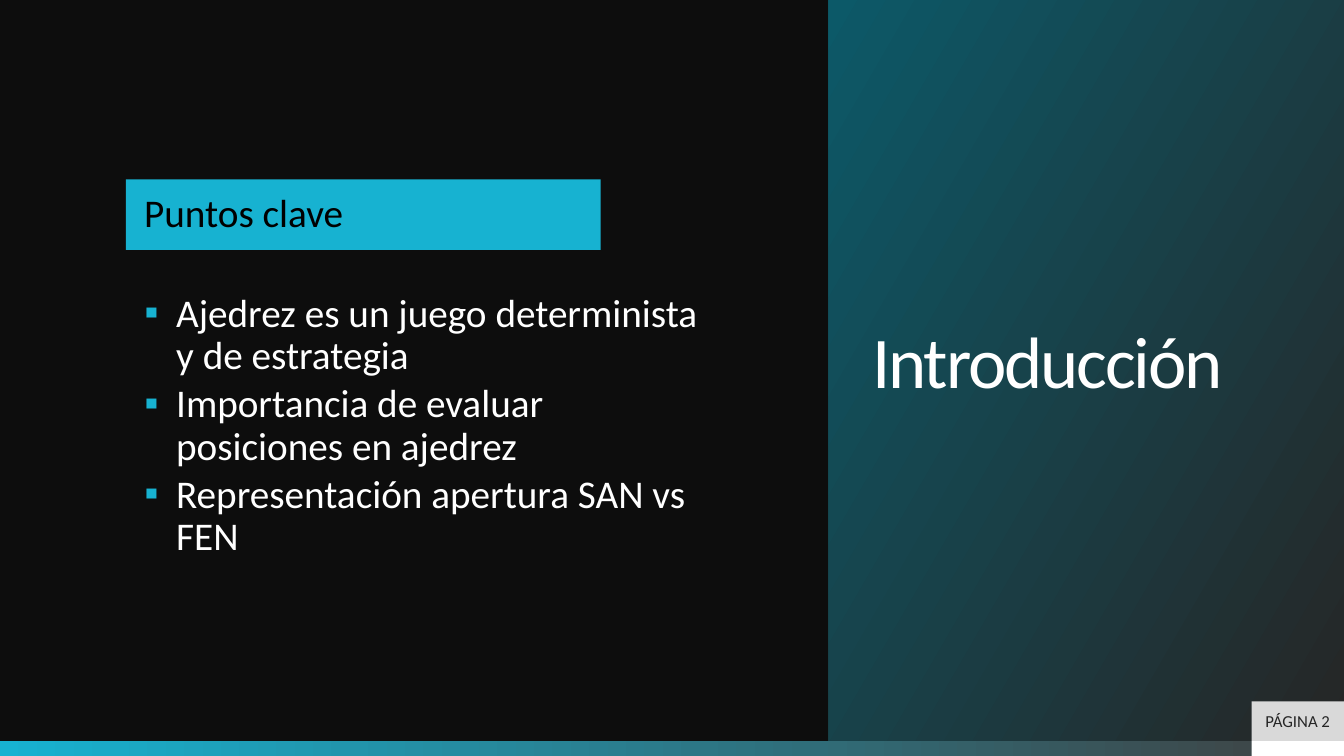
from dataclasses import dataclass
from typing import Optional, Union

import pptx
import pptx.dml.color
import pptx.enum.shapes
import pptx.enum.text
import pptx.oxml
import pptx.oxml.ns
import pptx.util

Pt = pptx.util.Pt
RGB = pptx.dml.color.RGBColor.from_string
ANCHOR = pptx.enum.text.MSO_ANCHOR
ALIGN = pptx.enum.text.PP_ALIGN


@dataclass(frozen=True)
class Theme:
    font: str = "Calibri"
    background: str = "0D0D0D"
    accent: str = "17B2D1"
    deep_accent: str = "0C5968"
    charcoal: str = "262626"
    gray: str = "404040"
    pale: str = "D9D9D9"
    white: str = "FFFFFF"
    black: str = "000000"
    title_size: float = 52
    body_size: float = 28
    page_size: float = 12


THEME = Theme()
SLIDE_W, SLIDE_H = 960, 540
STRIP_H = 10.8
STRIP_TOP = SLIDE_H - STRIP_H
PANEL_LEFT = 592
PAGE_LEFT, PAGE_TOP = 894, 501
BULLET_INDENT = 22.5


@dataclass(frozen=True)
class Gradient:
    """Two colours; the angle runs counter-clockwise in degrees."""
    start: str
    end: str
    angle: float


@dataclass(frozen=True)
class Text:
    lines: tuple[str, ...]
    size: float
    color: str
    insets: tuple[float, float, float, float] = (0, 0, 0, 0)
    anchor: ANCHOR = ANCHOR.MIDDLE
    align: ALIGN = ALIGN.LEFT
    line_spacing: float = 1.0
    space_after: float = 0
    tracking: int = 0
    bullet: str = ""


@dataclass(frozen=True)
class Block:
    left: float
    top: float
    width: float
    height: float
    fill: Union[str, Gradient, None] = None
    text: Optional[Text] = None


BLOCKS = (
    Block(0, STRIP_TOP, SLIDE_W, STRIP_H, Gradient(THEME.accent, THEME.gray, 0)),
    Block(PAGE_LEFT, STRIP_TOP, SLIDE_W - PAGE_LEFT, STRIP_H, THEME.white),
    Block(PANEL_LEFT, 0, SLIDE_W - PANEL_LEFT, STRIP_TOP,
          Gradient(THEME.charcoal, THEME.deep_accent, 150),
          Text(("Introducción",), THEME.title_size, THEME.white,
               insets=(31, 3.6, 31, 3.6), line_spacing=0.7, tracking=-150)),
    Block(66, 103, 484.6, 322.6, None,
          Text(("Ajedrez es un juego determinista y de estrategia",
                "Importancia de evaluar posiciones en ajedrez",
                "Representación apertura SAN vs FEN"),
               THEME.body_size, THEME.white, insets=(37.4, 106.6, 37.4, 15.8),
               anchor=ANCHOR.TOP, line_spacing=0.9, space_after=4.2, bullet="▪")),
    Block(90, 128.2, 339, 50.4, THEME.accent,
          Text(("Puntos clave",), THEME.body_size, THEME.black,
               insets=(13, 0, 13, 0), line_spacing=0.9)),
    Block(PAGE_LEFT, PAGE_TOP, SLIDE_W - PAGE_LEFT, STRIP_TOP - PAGE_TOP, THEME.pale,
          Text(("PÁGINA 2",), THEME.page_size, THEME.charcoal, align=ALIGN.CENTER)),
)


def paint(sp, fill: Union[str, Gradient]) -> None:
    if isinstance(fill, Gradient):
        sp.fill.gradient()
        sp.fill.gradient_angle = fill.angle
        for stop, color in zip(sp.fill.gradient_stops, (fill.start, fill.end)):
            stop.color.rgb = RGB(color)
    else:
        sp.fill.solid()
        sp.fill.fore_color.rgb = RGB(fill)
    sp.line.fill.background()
    sp.shadow.inherit = False


def add_bullet(p, char: str) -> None:
    pPr = p._p.get_or_add_pPr()
    pPr.set("marL", str(Pt(BULLET_INDENT)))
    pPr.set("indent", str(-Pt(BULLET_INDENT)))
    ns = pptx.oxml.ns.nsdecls("a")
    for xml in (f'<a:buClr {ns}><a:srgbClr val="{THEME.accent}"/></a:buClr>',
                f'<a:buFont {ns} typeface="{THEME.font}"/>',
                f'<a:buChar {ns} char="{char}"/>'):
        pPr.append(pptx.oxml.parse_xml(xml))


def write(tf, text: Text) -> None:
    tf.word_wrap = True
    tf.vertical_anchor = text.anchor
    tf.margin_left, tf.margin_top, tf.margin_right, tf.margin_bottom = map(Pt, text.insets)
    tf.text = "\n".join(text.lines)
    for p in tf.paragraphs:
        p.alignment = text.align
        p.line_spacing = text.line_spacing
        p.space_after = Pt(text.space_after)
        if text.bullet:
            add_bullet(p, text.bullet)
        for r in p.runs:
            r.font.name = THEME.font
            r.font.size = Pt(text.size)
            r.font.color.rgb = RGB(text.color)
            if text.tracking:
                r.font._element.set("spc", str(text.tracking))


def draw(slide, block: Block) -> None:
    box = tuple(map(Pt, (block.left, block.top, block.width, block.height)))
    if block.fill is None:
        sp = slide.shapes.add_textbox(*box)
    else:
        sp = slide.shapes.add_shape(pptx.enum.shapes.MSO_SHAPE.RECTANGLE, *box)
        paint(sp, block.fill)
    if block.text:
        write(sp.text_frame, block.text)


def main() -> None:
    prs = pptx.Presentation()
    prs.slide_width, prs.slide_height = Pt(SLIDE_W), Pt(SLIDE_H)
    slide = prs.slides.add_slide(prs.slide_layouts[6])
    slide.background.fill.solid()
    slide.background.fill.fore_color.rgb = RGB(THEME.background)
    for block in BLOCKS:
        draw(slide, block)
    prs.save("out.pptx")


if __name__ == "__main__":
    main()
